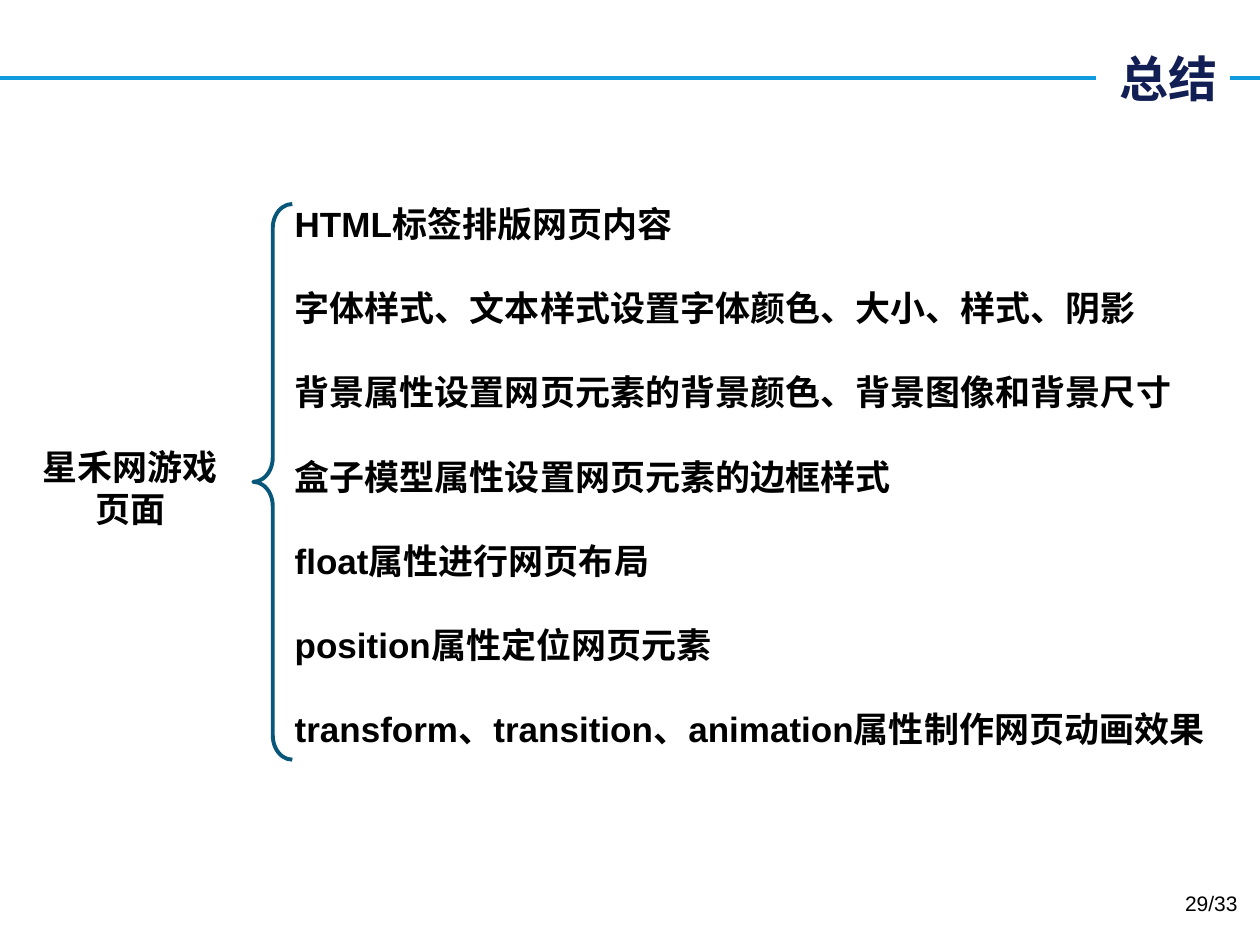
"""Build the summary slide: a topic, a brace and the list of techniques."""
import lxml.etree
import pptx
import pptx.dml.color
import pptx.enum.shapes
import pptx.enum.text
import pptx.oxml.ns
import pptx.util

Pt = pptx.util.Pt
Align = pptx.enum.text.PP_ALIGN
Anchor = pptx.enum.text.MSO_ANCHOR

WHITE = pptx.dml.color.RGBColor(0xFF, 0xFF, 0xFF)
BLACK = pptx.dml.color.RGBColor(0x00, 0x00, 0x00)
NAVY = pptx.dml.color.RGBColor(0x12, 0x1F, 0x55)
SKY = pptx.dml.color.RGBColor(0x0E, 0x9C, 0xDE)
TEAL = pptx.dml.color.RGBColor(0x08, 0x57, 0x7A)

TECHNIQUES = [
    "HTML标签排版网页内容",
    "字体样式、文本样式设置字体颜色、大小、样式、阴影",
    "背景属性设置网页元素的背景颜色、背景图像和背景尺寸",
    "盒子模型属性设置网页元素的边框样式",
    "float属性进行网页布局",
    "position属性定位网页元素",
    "transform、transition、animation属性制作网页动画效果",
]


class SlideBuilder:
    """Hold the style and the current slide, and draw each kind of element."""

    latin = "Arial"
    chinese = "Noto Sans CJK SC"
    line_width = Pt(2.25)

    def __init__(self, page):
        self.page = page

    def apply(self, target, values):
        for name, value in values.items():
            setattr(target, name, value)

    def stroke(self, shape, color):
        shape.line.width = self.line_width
        shape.line.color.rgb = color

    def rule(self, left, right, top, color):
        kind = pptx.enum.shapes.MSO_CONNECTOR.STRAIGHT
        line = self.page.shapes.add_connector(kind, Pt(left), Pt(top), Pt(right), Pt(top))
        self.stroke(line, color)
        lxml.etree.SubElement(line._element.spPr, pptx.oxml.ns.qn("a:effectLst"))

    def brace(self, left, top, width, height, curve, color):
        kind = pptx.enum.shapes.MSO_SHAPE.LEFT_BRACE
        shape = self.page.shapes.add_shape(kind, Pt(left), Pt(top), Pt(width), Pt(height))
        shape.shadow.inherit = False
        shape.fill.background()
        self.stroke(shape, color)
        shape.adjustments[0] = curve

    def text(self, place, lines, size, align=Align.LEFT, gap=0, bold=True,
             color=BLACK, latin=latin, anchor=Anchor.TOP, fill=None):
        box = self.page.shapes.add_textbox(*(Pt(length) for length in place))
        if fill is not None:
            box.fill.solid()
            box.fill.fore_color.rgb = fill
        frame = box.text_frame
        self.apply(frame, {"word_wrap": True, "vertical_anchor": anchor})
        for index, line in enumerate(lines):
            para = frame.add_paragraph() if index else frame.paragraphs[0]
            self.apply(para, {"alignment": align, "space_before": Pt(gap if index else 0)})
            span = para.add_run()
            span.text = line
            self.apply(span.font, {"name": latin, "size": Pt(size), "bold": bold})
            span.font.color.rgb = color
            tag = pptx.oxml.ns.qn("a:ea")
            lxml.etree.SubElement(span._r.get_or_add_rPr(), tag, typeface=self.chinese)


def main():
    deck = pptx.Presentation()
    deck.slide_width, deck.slide_height = Pt(720), Pt(540)
    builder = SlideBuilder(deck.slides.add_slide(deck.slide_layouts[6]))
    builder.rule(0, 720, 44.8, SKY)
    builder.text((626.4, 21.6, 76.4, 46), ["总结"], 28, Align.RIGHT, color=NAVY,
                 latin=builder.chinese, anchor=Anchor.MIDDLE, fill=WHITE)
    builder.text((161.3, 112.4, 544.4, 322.6), TECHNIQUES, 20, gap=24)
    builder.text((2, 251.3, 144.7, 55.4), ["星禾网游戏", "页面"], 20, Align.CENTER)
    builder.brace(144.7, 116.6, 22.3, 317.5, 0.62, TEAL)
    builder.text((546.5, 505.4, 167.8, 28.8), ["29/33"], 12, Align.RIGHT, bold=False)
    deck.save("out.pptx")


if __name__ == "__main__":
    main()
